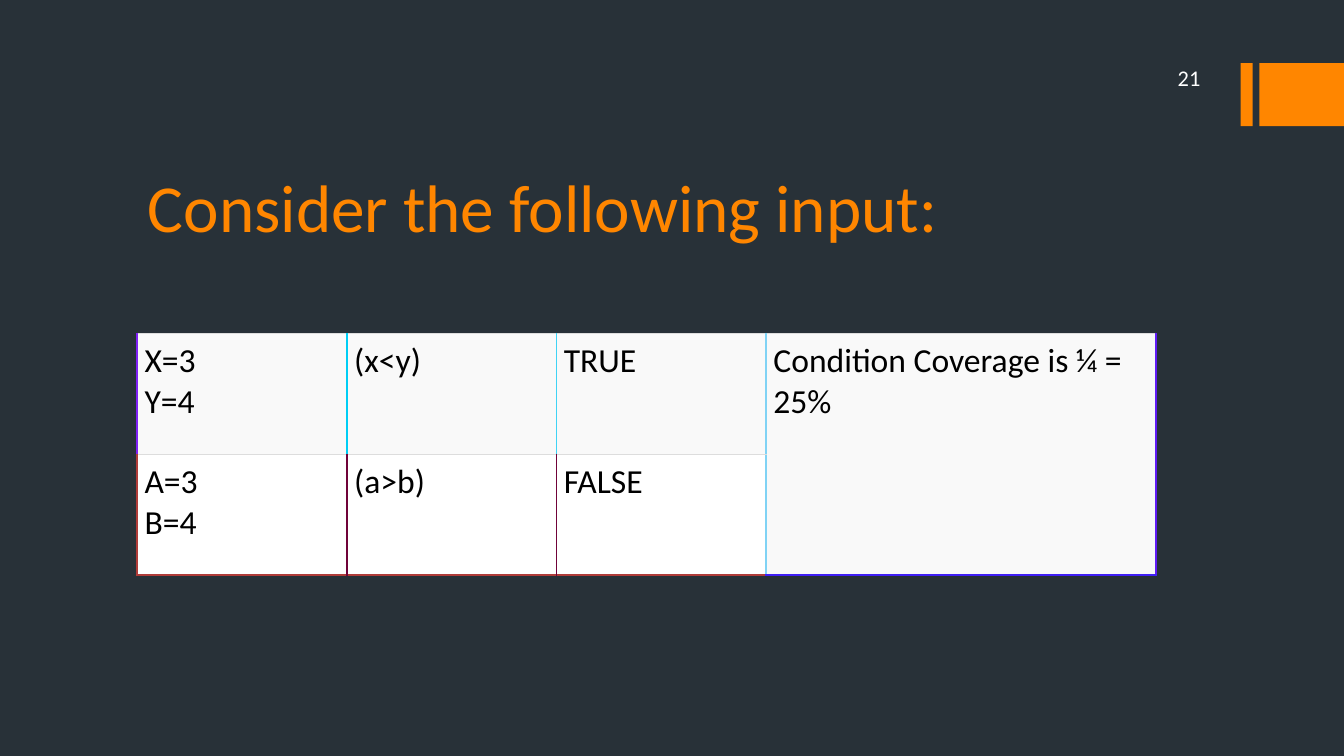
from lxml.etree import SubElement
from pptx import Presentation
from pptx.dml.color import RGBColor
from pptx.enum.shapes import MSO_SHAPE
from pptx.enum.text import MSO_ANCHOR as Anchor, PP_ALIGN as Align
from pptx.oxml.ns import qn
from pptx.util import Inches, Pt

DARK = RGBColor(0x28, 0x31, 0x38)
ORANGE = RGBColor(0xFF, 0x86, 0x00)
WHITE = RGBColor(0xFF, 0xFF, 0xFF)
BLACK = RGBColor(0x00, 0x00, 0x00)
PALE = RGBColor(0xF9, 0xF9, 0xF9)
GREY = RGBColor(0xDD, 0xDD, 0xDD)
VIOLET = RGBColor(0x80, 0x20, 0xF5)
CYAN = RGBColor(0x00, 0xCE, 0xF5)
SKY = RGBColor(0x40, 0xD3, 0xF5)
LIGHT_BLUE = RGBColor(0x80, 0xD3, 0xF5)
PURPLE = RGBColor(0x60, 0x1C, 0xF5)
INDIGO = RGBColor(0x40, 0x1F, 0xF5)
RED = RGBColor(0xB0, 0x3C, 0x39)
MAROON = RGBColor(0x70, 0x03, 0x39)

SLIDE_WIDTH = 10
SLIDE_HEIGHT = SLIDE_WIDTH * 9 / 16
COLUMN_WIDTHS = [1.56, 1.56, 1.56, 2.9]
ROWS = [
    ["X=3\nY=4", "(x<y)", "TRUE", "Condition Coverage is ¼ = 25%"],
    ["A=3\nB=4", "(a>b)", "FALSE", ""],
]
ROW_FILLS = [PALE, WHITE]
VERTICAL_EDGES = [
    [VIOLET, CYAN, SKY, LIGHT_BLUE, PURPLE],
    [RED, MAROON, MAROON, LIGHT_BLUE, PURPLE],
]
BOTTOM_EDGES = [RED, RED, RED, INDIGO]


def write_text(frame, text, size, color, align=Align.LEFT, anchor=Anchor.TOP):
    frame.word_wrap = True
    frame.vertical_anchor = anchor
    frame.text = text
    for para in frame.paragraphs:
        para.alignment = align
        for span in para.runs:
            span.font.name = "Calibri"
            span.font.size = Pt(size)
            span.font.color.rgb = color


def add_border(cell, side, color, width):
    line = SubElement(cell._tc.get_or_add_tcPr(), qn(f"a:ln{side}"), w=str(Pt(width)))
    fill = SubElement(line, qn("a:solidFill"))
    SubElement(fill, qn("a:srgbClr"), val=str(color))


def add_accent(page, left, top, height):
    for offset, width in [(0, 0.09), (0.14, 0.63)]:
        bar = page.shapes.add_shape(
            MSO_SHAPE.RECTANGLE, Inches(left + offset), Inches(top), Inches(width), Inches(height)
        )
        bar.shadow.inherit = False
        bar.fill.solid()
        bar.fill.fore_color.rgb = ORANGE
        bar.line.fill.background()


def add_title(page, left, top, width, height):
    title = page.shapes.title
    title.left, title.top = Inches(left), Inches(top)
    title.width, title.height = Inches(width), Inches(height)
    write_text(title.text_frame, "Consider the following input:\v", 36, ORANGE, anchor=Anchor.BOTTOM)
    title.text_frame.paragraphs[0].font.size = Pt(36)


def add_page_number(page, left, top, width, height):
    box = page.shapes.add_textbox(Inches(left), Inches(top), Inches(width), Inches(height))
    write_text(box.text_frame, "21", 12, WHITE, align=Align.RIGHT, anchor=Anchor.MIDDLE)


def add_coverage_table(page, left, top, width, height):
    frame = page.shapes.add_table(
        len(ROWS), len(COLUMN_WIDTHS), Inches(left), Inches(top), Inches(width), Inches(height)
    )
    table = frame.table
    for column, column_width in zip(table.columns, COLUMN_WIDTHS):
        column.width = Inches(column_width)
    last_column = len(COLUMN_WIDTHS) - 1
    for r, texts in enumerate(ROWS):
        for c, text in enumerate(texts):
            cell = table.cell(r, c)
            cell.margin_left = cell.margin_right = Pt(4)
            cell.margin_top = cell.margin_bottom = Pt(4)
            at_bottom = r == len(ROWS) - 1 or c == last_column
            add_border(cell, "L", VERTICAL_EDGES[r][c], 1)
            add_border(cell, "R", VERTICAL_EDGES[r][c + 1], 1)
            add_border(cell, "T", GREY, 0.5)
            add_border(cell, "B", BOTTOM_EDGES[c] if at_bottom else GREY, 1 if at_bottom else 0.5)
            cell.fill.solid()
            cell.fill.fore_color.rgb = PALE if c == last_column else ROW_FILLS[r]
            write_text(cell.text_frame, text, 18, BLACK)
    table.cell(0, last_column).merge(table.cell(1, last_column))


def main():
    deck = Presentation()
    deck.slide_width, deck.slide_height = Inches(SLIDE_WIDTH), Inches(SLIDE_HEIGHT)
    page = deck.slides.add_slide(deck.slide_layouts[5])
    page.background.fill.solid()
    page.background.fill.fore_color.rgb = DARK
    add_accent(page, 9.23, 0.47, 0.47)
    add_title(page, 1, 1.53, 8, 0.95)
    add_coverage_table(page, 1.02, 2.48, sum(COLUMN_WIDTHS), 1.8)
    add_page_number(page, 8, 0.45, 1.03, 0.25)
    deck.save("out.pptx")


if __name__ == "__main__":
    main()
